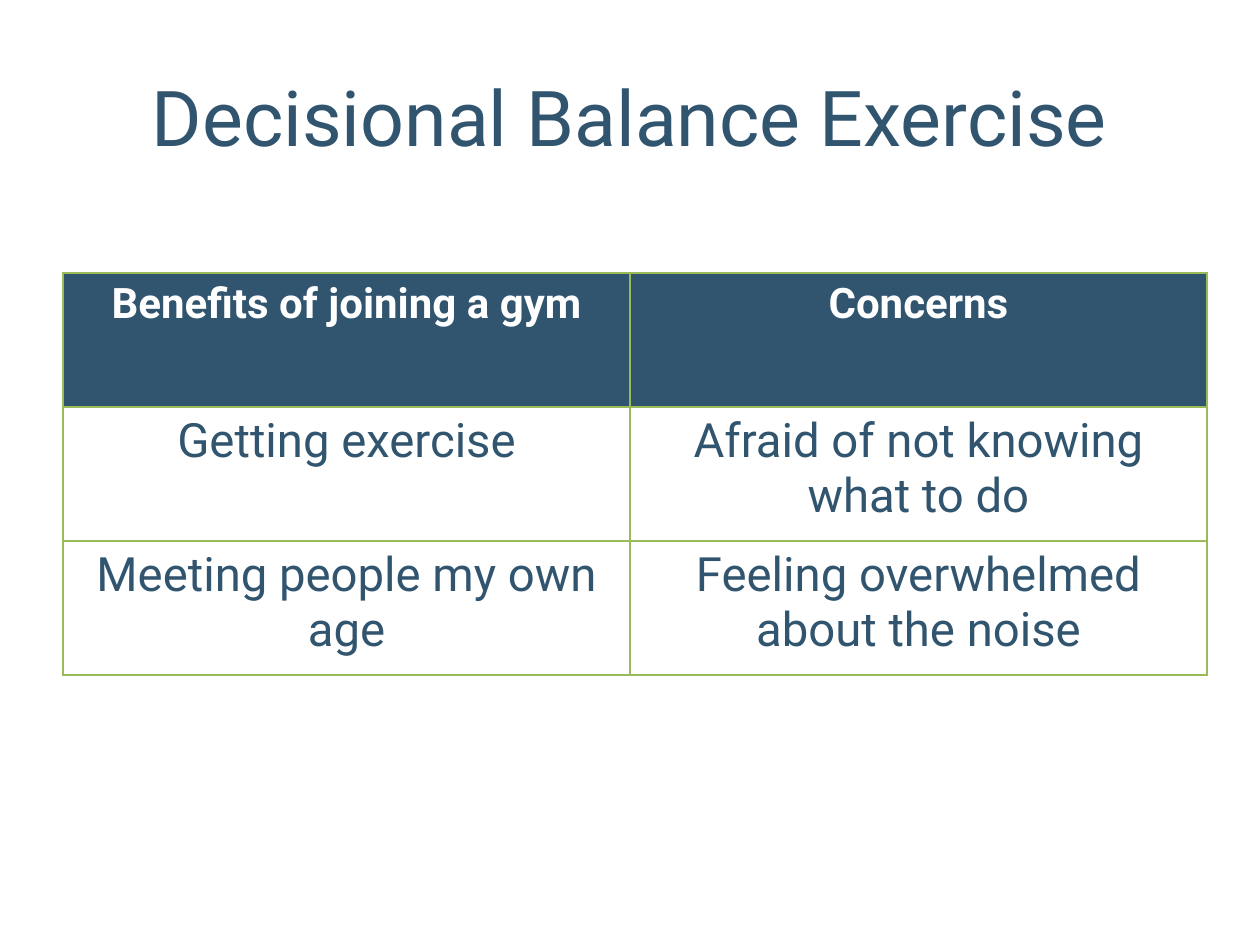
import pptx
import pptx.dml.color
import pptx.enum.text
import pptx.oxml
import pptx.oxml.ns
import pptx.util

PX = 914400 // 126  # EMU in one px
THEME = {
    "font": "Roboto",
    "navy": "31546F",
    "white": "FFFFFF",
    "green": "9BBB59",
    "title": 44,
    "header": 24,
    "body": 27,
}
ROWS = [
    ("Benefits of joining a gym", "Concerns"),
    ("Getting exercise", "Afraid of not knowing what to do"),
    ("Meeting people my own age", "Feeling overwhelmed about the noise"),
]
COL_WIDTHS = (567, 577)
ROW_HEIGHT = 134


def write(tf, text, *, size, color, bold=False):
    p = tf.paragraphs[0]
    p.alignment = pptx.enum.text.PP_ALIGN.CENTER
    r = p.add_run()
    r.text = text
    r.font.name = THEME["font"]
    r.font.size = pptx.util.Pt(size)
    r.font.bold = bold
    r.font.color.rgb = pptx.dml.color.RGBColor.from_string(color)


def add_borders(cell, color):
    tc_pr = cell._tc.get_or_add_tcPr()
    for i, side in enumerate(("lnL", "lnR", "lnT", "lnB")):
        tc_pr.insert(i, pptx.oxml.parse_xml(
            f'<a:{side} {pptx.oxml.ns.nsdecls("a")} w="12700"><a:solidFill>'
            f'<a:srgbClr val="{color}"/></a:solidFill></a:{side}>'))


prs = pptx.Presentation()
prs.slide_width = 1260 * PX
prs.slide_height = 945 * PX
s = prs.slides.add_slide(prs.slide_layouts[5])

# Title
title = s.shapes.title
title.left, title.top, title.width, title.height = (
    v * PX for v in (63, 37, 1134, 158))
title.text_frame.vertical_anchor = pptx.enum.text.MSO_ANCHOR.MIDDLE
write(title.text_frame, "Decisional Balance Exercise",
      size=THEME["title"], color=THEME["navy"])

# Benefits and concerns table
table = s.shapes.add_table(
    len(ROWS), len(COL_WIDTHS), 63 * PX, 273 * PX,
    sum(COL_WIDTHS) * PX, len(ROWS) * ROW_HEIGHT * PX).table
table.horz_banding = False
for column, width in zip(table.columns, COL_WIDTHS):
    column.width = width * PX

for i, texts in enumerate(ROWS):
    table.rows[i].height = ROW_HEIGHT * PX
    for j, text in enumerate(texts):
        cell = table.cell(i, j)
        if i == 0:
            cell.fill.solid()
            cell.fill.fore_color.rgb = pptx.dml.color.RGBColor.from_string(
                THEME["navy"])
            write(cell.text_frame, text, size=THEME["header"],
                  color=THEME["white"], bold=True)
        else:
            cell.fill.background()
            write(cell.text_frame, text, size=THEME["body"],
                  color=THEME["navy"])
        add_borders(cell, THEME["green"])

prs.save("out.pptx")
